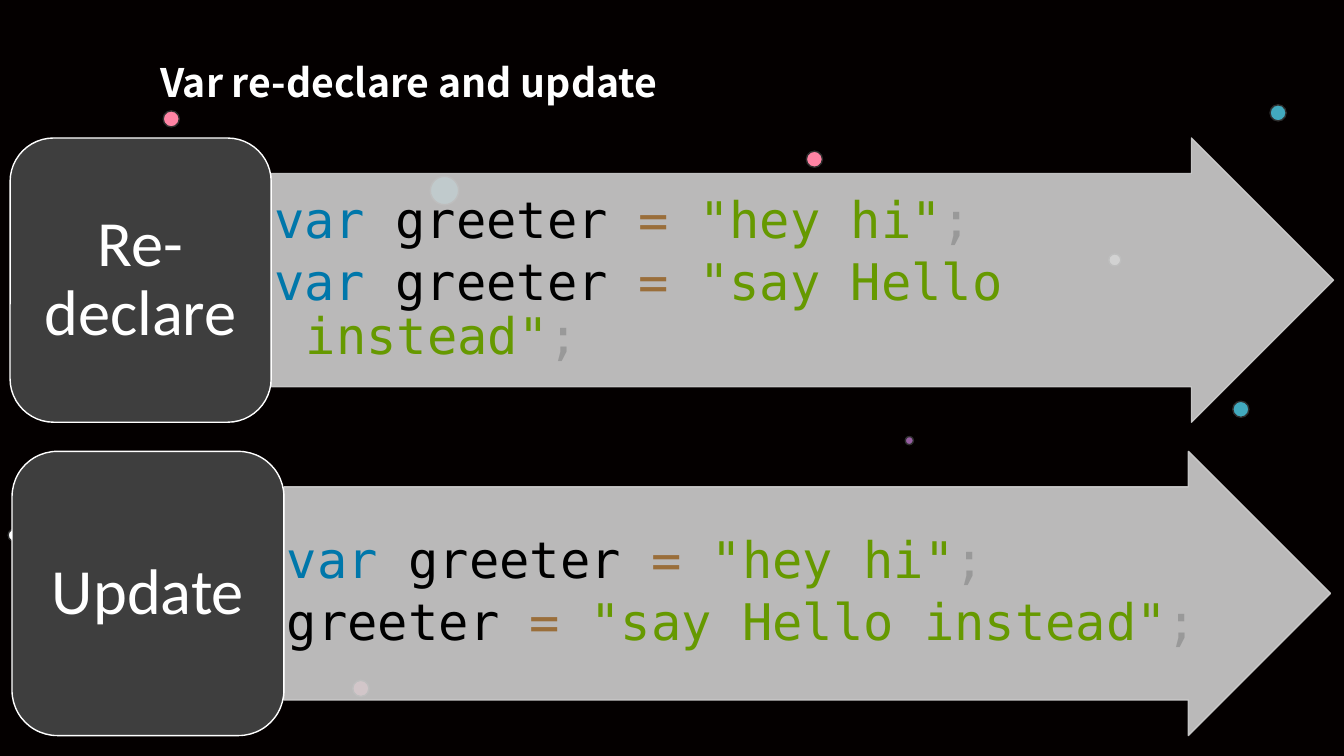
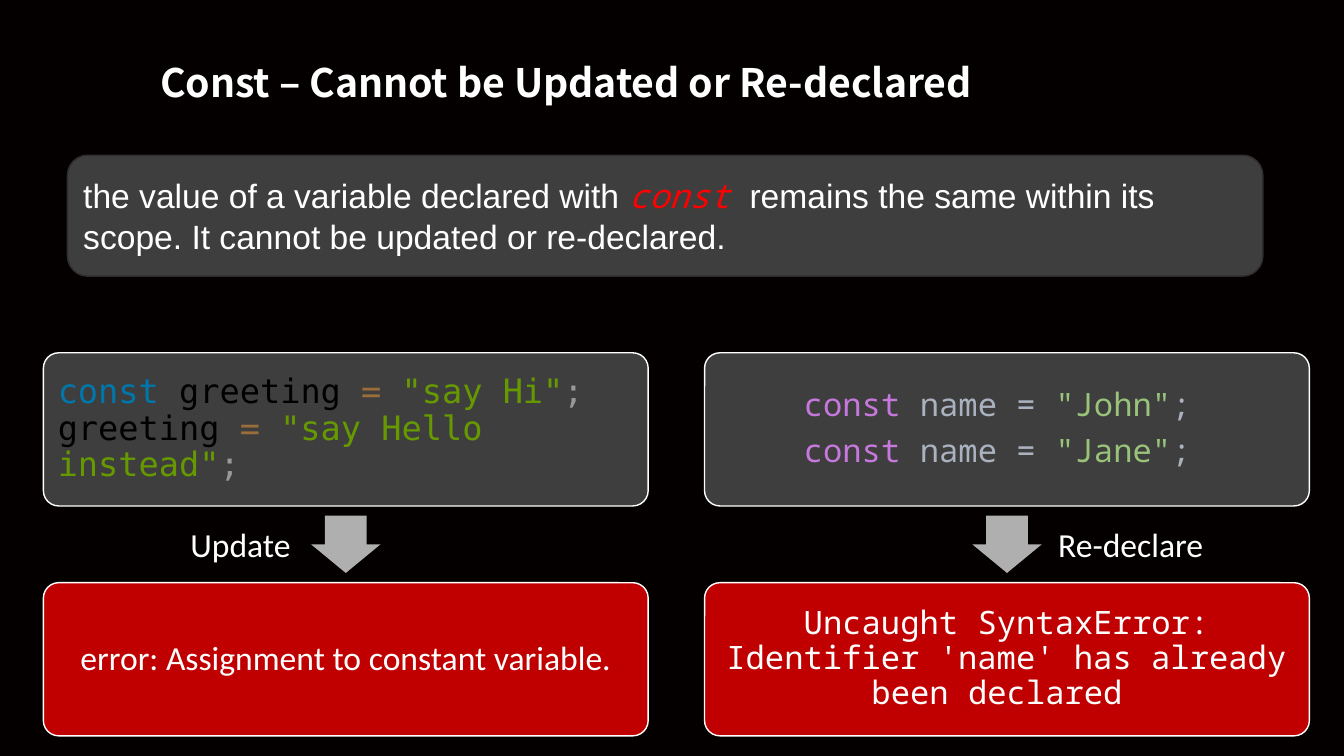
from pptx import Presentation
from pptx.dml.color import RGBColor
from pptx.enum.shapes import MSO_SHAPE as Shape
from pptx.enum.text import MSO_ANCHOR as Anchor, PP_ALIGN as Align
from pptx.oxml.ns import qn
from pptx.util import Pt
from lxml import etree

BACKGROUND, WHITE, CARD, OUTLINE = "040000", "FFFFFF", "3E3E3E", "2E2E2E"
PALE, GREY, ERROR = "CECECE", "AFAFAF", "C00000"
TEAL, PINK, PURPLE = "42A9BE", "FF84A4", "975FA2"
TITLE_FONT, LABEL_FONT, BODY_FONT = "Noto Sans CJK SC", "Calibri", "Arial"
CODE_FONT, ALT_CODE_FONT = "DejaVu Sans Mono", "Noto Sans Mono"

KEYWORD, NAME, OPERATOR, STRING, PUNCTUATION = (
    "0077AA", "000000", "9A6E3A", "669900", "999999")
DARK_KEYWORD, DARK_PLAIN, DARK_STRING = "C678DD", "ABB2BF", "98C379"

# Slide 1: dots as (left, top, diameter, colour)
DOTS = [
    (307.4, 126, 20.2, TEAL), (907.2, 74.9, 11.5, TEAL),
    (880.6, 286.6, 11.5, TEAL), (576, 108, 11.5, PINK),
    (116.6, 79.2, 11.5, PINK), (252, 486, 11.5, PINK),
    (646.6, 311.8, 5.8, PURPLE), (5.8, 378, 8.6, WHITE),
    (792, 181.4, 8.6, WHITE),
]


def assignment(text):
    return [("= ", OPERATOR), (f'"{text}"', STRING), (";", PUNCTUATION)]


VAR = [("var", KEYWORD), (" greeter ", NAME)]
FIRST_VAR = VAR + assignment("hey hi")

# label, code lines, left, top, label width, arrow tip
VAR_ROWS = [
    ("Re-declare", [FIRST_VAR, VAR + assignment("say Hello instead")],
     7.2, 98.6, 186.5, 952.6),
    ("Update", [FIRST_VAR, [("greeter ", NAME)] + assignment("say Hello instead")],
     8.6, 322.4, 194.2, 950.4),
]
ROW_HEIGHT = 203

DEFINITION = [
    ("the value of a variable declared with ", WHITE),
    ("const ", "FF0000", ALT_CODE_FONT, True),
    ("remains the same within its scope. It cannot be updated or re-declared.", WHITE),
]


def dark_const(value):
    return [("const", DARK_KEYWORD), (" name = ", DARK_PLAIN),
            (f'"{value}"', DARK_STRING), ("; ", DARK_PLAIN)]


CONST_CASES = [
    dict(left=31, label="Update", label_left=128.9, size=24, align=Align.LEFT,
         code=[[("const", KEYWORD), (" greeting ", NAME)] + assignment("say Hi")
               + [(" greeting ", NAME)] + assignment("say Hello instead")],
         code_font=CODE_FONT, error_font=LABEL_FONT,
         error="error: Assignment to constant variable."),
    dict(left=503.3, label="Re-declare", label_left=748.8, size=23, align=Align.CENTER,
         code=[dark_const("John"), dark_const("Jane")],
         code_font=ALT_CODE_FONT, error_font=ALT_CODE_FONT,
         error="Uncaught SyntaxError: Identifier 'name' has already been declared "),
]
CARD_WIDTH, CARD_HEIGHT = 432, 109.4
CODE_TOP, ERROR_TOP = 252, 416.2
ARROW_WIDTH, ARROW_HEIGHT = 49.7, 41


def rgb(colour):
    return RGBColor.from_string(colour)


def add_box(slide, kind, left, top, width, height, fill, line=None, adjustments=()):
    shape = slide.shapes.add_shape(kind, Pt(left), Pt(top), Pt(width), Pt(height))
    shape.shadow.inherit = False
    for index, value in enumerate(adjustments):
        shape.adjustments[index] = value
    shape.fill.solid()
    shape.fill.fore_color.rgb = rgb(fill)
    if line:
        shape.line.color.rgb = rgb(line)
        shape.line.width = Pt(1)
    else:
        shape.line.fill.background()
    return shape


def set_opacity(shape, percent):
    for colour in shape._element.spPr.iter(qn("a:srgbClr")):
        etree.SubElement(colour, qn("a:alpha")).set("val", str(percent * 1000))


def write(shape, lines, font, size, align=Align.LEFT, anchor=Anchor.MIDDLE,
          insets=(7.2, 3.6), spacing=None, after=0, hanging=0):
    """Write lines of (text, colour[, font, italic]) runs; after is a share of size."""
    frame = shape.text_frame
    frame.word_wrap = True
    frame.vertical_anchor = anchor
    frame.margin_left = frame.margin_right = Pt(insets[0])
    frame.margin_top = frame.margin_bottom = Pt(insets[1])
    for index, line in enumerate(lines):
        paragraph = frame.add_paragraph() if index else frame.paragraphs[0]
        paragraph.alignment = align
        paragraph.line_spacing = spacing
        paragraph.space_after = Pt(size * after)
        if hanging:
            properties = paragraph._p.get_or_add_pPr()
            properties.set("marL", str(Pt(hanging)))
            properties.set("indent", str(-Pt(hanging)))
        for text, colour, *style in line:
            run = paragraph.add_run()
            run.text = text
            run.font.name, run.font.italic = style or (font, False)
            run.font.size = Pt(size)
            run.font.color.rgb = rgb(colour)


def add_text(slide, text, left, top, width, height, font, size, bold=False):
    box = slide.shapes.add_textbox(Pt(left), Pt(top), Pt(width), Pt(height))
    write(box, [[(text, WHITE)]], font, size, anchor=Anchor.TOP)
    box.text_frame.paragraphs[0].runs[0].font.bold = bold


def add_title(slide, text, width):
    add_text(slide, text, 107.3, 38.2, width, 41, TITLE_FONT, 28, bold=True)


def add_var_row(slide, label, code, left, top, width, tip):
    arrow_left = left + width
    arrow = add_box(slide, Shape.RIGHT_ARROW, arrow_left, top, tip - arrow_left,
                    ROW_HEIGHT, PALE, PALE, (0.75, 0.5))
    set_opacity(arrow, 90)
    write(arrow, code, CODE_FONT, 36, insets=(2.2, 2.2), spacing=0.9,
          after=0.15, hanging=22.5)
    box = add_box(slide, Shape.ROUNDED_RECTANGLE, left, top, width, ROW_HEIGHT,
                  CARD, WHITE)
    write(box, [[(label, WHITE)]], LABEL_FONT, 46, Align.CENTER,
          insets=(13.7, 7.2), spacing=0.9, after=0.35)


def add_const_case(slide, case):
    left, size = case["left"], case["size"]
    cards = [
        (CODE_TOP, CARD, case["code"], case["code_font"], case["align"]),
        (ERROR_TOP, ERROR, [[(case["error"], WHITE)]], case["error_font"], Align.CENTER),
    ]
    for top, fill, lines, font, align in cards:
        card = add_box(slide, Shape.ROUNDED_RECTANGLE, left, top, CARD_WIDTH,
                       CARD_HEIGHT, fill, WHITE, (0.1,))
        write(card, lines, font, size, align, insets=(7.2, 7.2), spacing=0.9, after=0.35)
    arrow_top = (CODE_TOP + CARD_HEIGHT + ERROR_TOP - ARROW_HEIGHT) / 2
    add_box(slide, Shape.DOWN_ARROW, left + (CARD_WIDTH - ARROW_WIDTH) / 2, arrow_top,
            ARROW_WIDTH, ARROW_HEIGHT, GREY, adjustments=(0.6, 0.5))
    add_text(slide, case["label"], case["label_left"], 370.8, 197.3, 36, LABEL_FONT, 24)


def main():
    presentation = Presentation()
    presentation.slide_width, presentation.slide_height = Pt(960), Pt(540)
    background = presentation.slide_master.background.fill
    background.solid()
    background.fore_color.rgb = rgb(BACKGROUND)
    blank = presentation.slide_layouts[6]

    slide = presentation.slides.add_slide(blank)
    for left, top, diameter, colour in DOTS:
        add_box(slide, Shape.OVAL, left, top, diameter, diameter, colour, OUTLINE)
    add_title(slide, "Var re-declare and update", 468.7)
    for row in VAR_ROWS:
        add_var_row(slide, *row)

    slide = presentation.slides.add_slide(blank)
    add_title(slide, "Const – Cannot be Updated or Re-declared", 709.9)
    definition = add_box(slide, Shape.ROUNDED_RECTANGLE, 48.2, 110.9, 853.9, 86.4,
                         CARD, OUTLINE)
    write(definition, [DEFINITION], BODY_FONT, 24)
    for case in CONST_CASES:
        add_const_case(slide, case)

    presentation.save("out.pptx")


if __name__ == "__main__":
    main()
